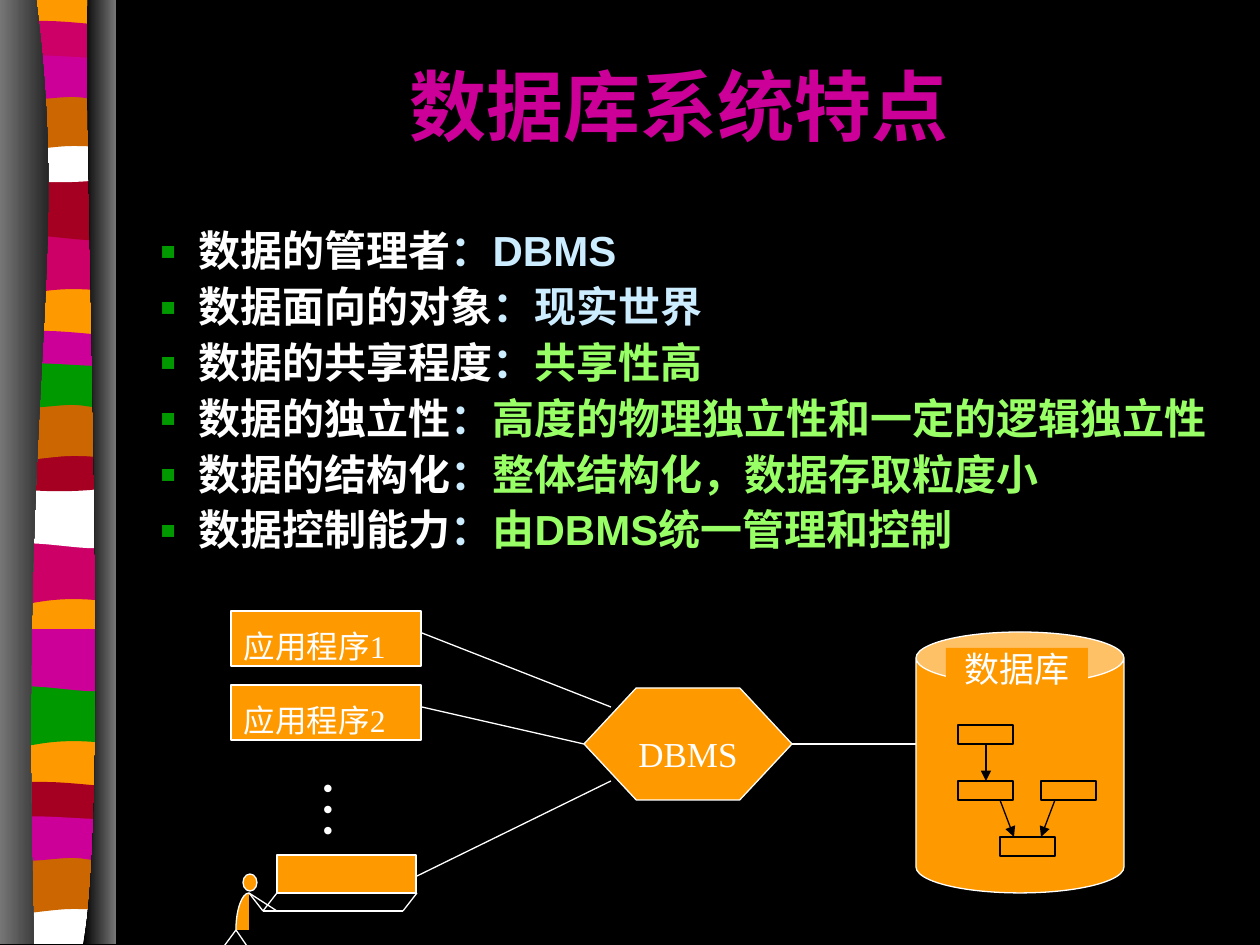
from copy import deepcopy
from lxml.etree import SubElement
from pptx import Presentation
from pptx.dml.color import RGBColor
from pptx.enum.shapes import MSO_CONNECTOR, MSO_SHAPE as Shape
from pptx.enum.text import MSO_ANCHOR as Anchor, MSO_AUTO_SIZE, PP_ALIGN as Align
from pptx.oxml.ns import qn
from pptx.util import Pt

PX = 914400 / 126
WIDTH, HEIGHT = 1260, 945

BLACK = RGBColor(0x00, 0x00, 0x00)
WHITE = RGBColor(0xFF, 0xFF, 0xFF)
GREY = RGBColor(0x76, 0x76, 0x76)
ORANGE = RGBColor(0xFF, 0x99, 0x00)
PINK = RGBColor(0xCC, 0x00, 0x66)
MAGENTA = RGBColor(0xCC, 0x00, 0x99)
BROWN = RGBColor(0xCC, 0x66, 0x00)
RED = RGBColor(0xA5, 0x00, 0x21)
GREEN = RGBColor(0x00, 0x99, 0x00)
PALE_BLUE = RGBColor(0xCC, 0xEC, 0xFF)
LIME = RGBColor(0x99, 0xFF, 0x66)
SERIF, SANS = "Times New Roman", "Arial"

TITLE = "数据库系统特点"
FEATURES = [
    [("数据的管理者", WHITE), ("：DBMS", PALE_BLUE)],
    [("数据面向的对象", WHITE), ("：现实世界", PALE_BLUE)],
    [("数据的共享程度", WHITE), ("：", PALE_BLUE), ("共享性高", LIME)],
    [("数据的独立性", WHITE), ("：", PALE_BLUE), ("高度的物理独立性和一定的逻辑独立性", LIME)],
    [("数据的结构化", WHITE), ("：", PALE_BLUE), ("整体结构化，数据存取粒度小", LIME)],
    [("数据控制能力", WHITE), ("：", PALE_BLUE), ("由DBMS统一管理和控制", LIME)],
]
PROGRAMS = ["应用程序1", "应用程序2"]

# Band profiles from the top right corner: one point is a line, three are a curve
PROFILES = {
    "base": [[(113, 0)], [(113, 942)], [(5, 942)], [(5, 0)]],
    "dip": [[(113, 0)], [(113, 59)], [(39, 49), (24, 69), (5, 59)], [(5, 0)]],
    "swell": [[(113, 0)], [(113, 59)], [(95, 69), (39, 52), (5, 59)], [(5, 0)]],
    "lens": [[(113, 6)], [(113, 36)], [(95, 42), (24, 42), (5, 36)], [(5, 6)],
             [(13, 0), (29, 1), (47, 1)], [(64, 1), (100, 5), (113, 6)]],
    "pad": [[(113, 0)], [(113, 41)], [(95, 48), (24, 48), (5, 41)], [(5, 0)],
            [(72, 6), (91, 0), (113, 0)]],
    "arch": [[(113, 0)], [(113, 59)], [(97, 53), (89, 53), (72, 53)],
             [(54, 53), (21, 59), (5, 59)], [(5, 0)]],
    "fold": [[(113, 6)], [(113, 45)], [(106, 52), (89, 45), (72, 45)],
             [(54, 45), (16, 52), (5, 45)], [(5, 6)],
             [(20, 0), (78, 6), (96, 6)], [(114, 6), (109, 6), (113, 6)]],
    "hem": [[(113, 0)], [(113, 47)], [(5, 47)], [(5, 0)],
            [(72, 6), (91, 0), (113, 0)]],
}
BANDS = [
    ("base", ORANGE, -1),
    ("dip", PINK, 233), ("swell", RED, 178), ("lens", PINK, 20),
    ("pad", WHITE, 136), ("arch", BROWN, 93), ("fold", MAGENTA, 52),
    ("dip", PINK, 543), ("swell", WHITE, 486), ("lens", MAGENTA, 330),
    ("pad", RED, 445), ("arch", BROWN, 403), ("fold", GREEN, 360),
    ("dip", GREEN, 685), ("swell", MAGENTA, 629), ("lens", RED, 781),
    ("hem", WHITE, 897), ("arch", BROWN, 856), ("fold", MAGENTA, 813),
]
CURTAINS = [
    ([[(36, -1)], [(71, 272), (18, 373), (34, 944)], [(0, 944)], [(0, -1)]],
     (GREY, BLACK)),
    ([[(88, -1)], [(83, 157), (111, 814), (83, 944)], [(116, 944)], [(116, 0)]],
     (BLACK, GREY)),
]
USER_BACK = [[(249, 893)], [(242, 893), (236, 910), (236, 930)], [(249, 930)]]

LINKS = [
    (792, 744, 916, 744), (422, 633, 611, 707),
    (422, 707, 584, 744), (417, 876, 611, 781),
]
USER_LINES = [
    (249, 893, 263, 911), (277, 893, 263, 911), (417, 893, 403, 911),
    (263, 911, 403, 911), (236, 930, 249, 949), (236, 930, 222, 949),
    (249, 893, 277, 911),
]
RECORDS = [(958, 725), (958, 781), (1041, 781), (1000, 837)]
RECORD_ARROWS = [(986, 744, 986, 781), (1000, 800, 1014, 837), (1055, 800, 1041, 837)]

prs = Presentation()
prs.slide_width, prs.slide_height = round(WIDTH * PX), round(HEIGHT * PX)
slide = prs.slides.add_slide(prs.slide_layouts[1])
slide.background.fill.solid()
slide.background.fill.fore_color.rgb = BLACK
shapes = slide.shapes


def emu(*lengths):
    return [round(n * PX) for n in lengths]


def style(shape, fill, line=None):
    shape.shadow.inherit = False
    shape.fill.solid()
    shape.fill.fore_color.rgb = fill
    if line is None:
        shape.line.fill.background()
    else:
        shape.line.color.rgb = line
        shape.line.width = Pt(0.75)
    return shape


def outline(profile, fill, line=None, top=0):
    """Draw a closed outline, turning each three-point part into a curve."""
    start, *parts = [[emu(x, y + top) for x, y in part] for part in profile]
    builder = shapes.build_freeform(*start[0], scale=1.0)
    builder.add_line_segments([point for part in parts for point in part], close=True)
    shape = builder.convert_to_shape()
    path = shape._element.find(".//" + qn("a:path"))
    segments = iter(path.findall(qn("a:lnTo")))
    for part in parts:
        first, *others = [next(segments) for _ in part]
        if others:
            first.tag = qn("a:cubicBezTo")
        for other in others:
            first.append(other[0])
            path.remove(other)
    return style(shape, fill, line)


def block(kind, box, fill=ORANGE, line=WHITE):
    return style(shapes.add_shape(kind, *emu(*box)), fill, line)


def connect(ends, color=WHITE, arrow=False):
    link = shapes.add_connector(MSO_CONNECTOR.STRAIGHT, *emu(*ends))
    link.line.color.rgb = color
    link.line.width = Pt(0.75)
    if arrow:
        SubElement(link.line._get_or_add_ln(), qn("a:tailEnd"), type="triangle")
    SubElement(link._element.spPr, qn("a:effectLst"))


def add_run(paragraph, text, size, color, font=SERIF, bold=False):
    run = paragraph.add_run()
    run.text = text
    run.font.size, run.font.name, run.font.bold = Pt(size), font, bold
    run.font.color.rgb = color


def label(shape, text, size, insets, align=Align.CENTER):
    frame = shape.text_frame
    frame.word_wrap = True
    frame.vertical_anchor = Anchor.TOP
    (frame.margin_left, frame.margin_top,
     frame.margin_right, frame.margin_bottom) = emu(*insets)
    frame.paragraphs[0].alignment = align
    add_run(frame.paragraphs[0], text, size, WHITE)
    return frame


def place(placeholder, box, anchor):
    (placeholder.left, placeholder.top,
     placeholder.width, placeholder.height) = emu(*box)
    frame = placeholder.text_frame
    frame.auto_size = MSO_AUTO_SIZE.NONE
    frame.vertical_anchor = anchor
    return frame


# Ribbon between two shaded curtains
for profile, color, top in BANDS:
    outline(PROFILES[profile], color, top=top)
for profile, colors in CURTAINS:
    curtain = outline(profile, BLACK)
    curtain.fill.gradient()
    curtain.fill.gradient_angle = 0
    for stop, color in zip(curtain.fill.gradient_stops, colors):
        stop.color.rgb = color

# Title and feature list
heading = place(shapes.title, (126, 42, 1106, 126), Anchor.MIDDLE).paragraphs[0]
heading.alignment = Align.CENTER
add_run(heading, TITLE, 44, MAGENTA, bold=True)

features = place(slide.placeholders[1], (84, 224, 1142, 367), Anchor.TOP)
for i, parts in enumerate(FEATURES):
    item = features.add_paragraph() if i else features.paragraphs[0]
    item.line_spacing = 0.9
    item.space_before = Pt(6 if i else 0)
    props = item._p.get_or_add_pPr()
    props.set("marL", str(round(102 * PX)))
    props.set("indent", str(round(-39 * PX)))
    SubElement(SubElement(props, qn("a:buClr")), qn("a:srgbClr"), val=str(GREEN))
    SubElement(props, qn("a:buSzPct"), val="115000")
    SubElement(props, qn("a:buChar"), char="▪")
    for text, color in parts:
        add_run(item, text, 24, color, SANS, bold=True)

# User at a terminal: the back is filled, with a line along its curve only
block(Shape.RECTANGLE, (277, 855, 139, 38))
block(Shape.FLOWCHART_CONNECTOR, (243, 874, 14, 17))
back_fill = outline(USER_BACK, ORANGE, WHITE)._element.find(".//" + qn("a:path"))
back_line = deepcopy(back_fill)
back_fill.set("stroke", "0")
back_line.set("fill", "none")
for part in back_line[2:]:
    back_line.remove(part)
back_fill.addnext(back_line)
for ends in USER_LINES + LINKS:
    connect(ends)

# DBMS and database
dbms = block(Shape.HEXAGON, (584, 688, 208, 112))
dbms.adjustments[0] = 0.466
label(dbms, "DBMS", 20, (0, 26, 0, 6))
block(Shape.CAN, (916, 632, 208, 261)).adjustments[0] = 0.25
for left, top in RECORDS:
    block(Shape.RECTANGLE, (left, top, 55, 19), line=BLACK)
for ends in RECORD_ARROWS:
    connect(ends, BLACK, arrow=True)
label(block(Shape.RECTANGLE, (946, 648, 142, 38), line=None), "数据库", 20, (0, 0, 0, 0))

# Application programs
for i, program in enumerate(PROGRAMS):
    box = block(Shape.RECTANGLE, (231, 611 + 74 * i, 190, 55))
    label(box, program, 18, (13, 16, 13, 6), Align.JUSTIFY)
more = shapes.add_textbox(*emu(294, 766, 101, 77))
label(more, "…", 36, (6, 13, 6, 13), Align.LEFT)._bodyPr.set("vert", "eaVert")

prs.save("out.pptx")
